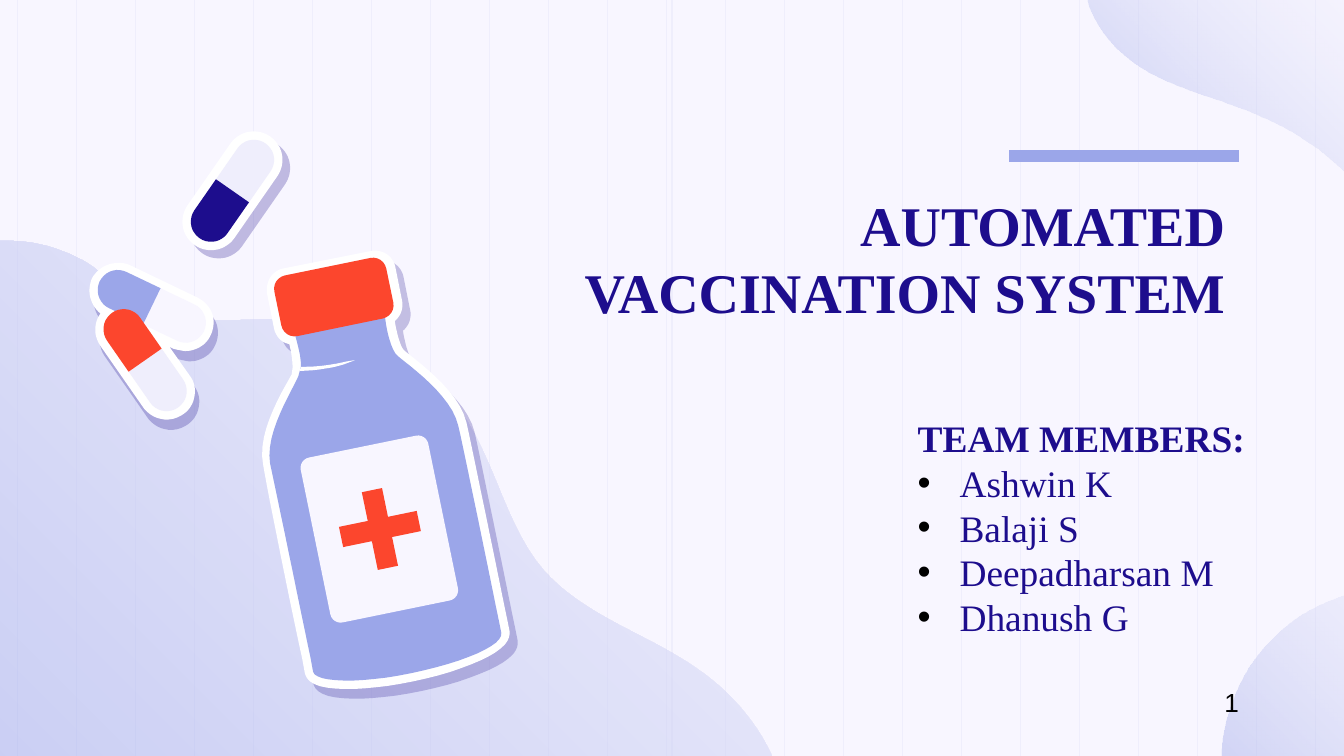
import math

from pptx import Presentation
from pptx.dml.color import RGBColor
from pptx.enum.shapes import MSO_CONNECTOR, MSO_SHAPE
from pptx.enum.text import MSO_ANCHOR, MSO_AUTO_SIZE, PP_ALIGN
from pptx.oxml.ns import qn
from pptx.util import Cm, Pt
from lxml import etree

STRAIGHT = MSO_CONNECTOR.STRAIGHT
ROUNDED, CROSS, OVAL = MSO_SHAPE.ROUNDED_RECTANGLE, MSO_SHAPE.CROSS, MSO_SHAPE.OVAL
LEFT, RIGHT = PP_ALIGN.LEFT, PP_ALIGN.RIGHT
TOP = MSO_ANCHOR.TOP
NO_AUTOFIT = MSO_AUTO_SIZE.NONE

# Content
TITLE = "AUTOMATED VACCINATION SYSTEM"
TEAM_HEADING = "TEAM MEMBERS:"
TEAM = ["Ashwin K", "Balaji S", "Deepadharsan M", "Dhanush G"]
PAGE_NUMBER = "1"
SERIF, SANS = "Times New Roman", "Arial"

NAVY, PERIWINKLE, MIST = "1D0D8D", "9BA6E9", "EFEEFC"
PAPER, WHITE, RED, BLACK = "F8F6FF", "FFFFFF", "FC462D", "000000"

# Outlines, in units of 2.54 cm
UNIT = 2.54
LEFT_WAVE = """M -0.1 1.8 C 0.2 1.77 0.41 1.83 0.62 1.94 C 0.76 2.02 0.87 2.15 1 2.24
 C 1.36 2.47 1.83 2.35 2.25 2.38 C 2.75 2.43 3.21 2.72 3.48 3.14
 C 3.7 3.5 3.78 3.94 4.05 4.25 C 4.24 4.46 4.49 4.59 4.74 4.72
 C 4.98 4.84 5.27 5 5.46 5.21 C 5.65 5.41 5.8 5.66 5.84 5.97
 L 0.19 5.97 C 0.03 5.97 -0.1 5.84 -0.1 5.68"""
RIGHT_WAVE = """M 8.07 -0.1 C 8.1 0.19 8.35 0.45 8.61 0.57 C 8.87 0.7 9.16 0.76 9.43 0.89
 C 9.83 1.07 10.15 1.37 10.35 1.76 L 10.35 0.24 C 10.35 0.05 10.2 -0.1 10.01 -0.1"""
BOTTLE_EDGE = """M 2.12 2.06 C 2.07 2.07 2.04 2.12 2.05 2.18 L 2.1 2.43
 C 2.11 2.48 2.15 2.51 2.2 2.5 C 2.22 2.56 2.24 2.66 2.24 2.74 L 2.23 2.81
 C 2.18 2.9 1.97 3.23 2.02 3.45 C 2.05 3.64 2.24 4.57 2.31 4.89 L 2.33 5
 C 2.35 5.08 2.68 5.09 3.06 5.01 C 3.45 4.93 3.74 4.79 3.73 4.71
 C 3.73 4.71 3.46 3.38 3.41 3.16 C 3.36 2.94 3.04 2.72 2.96 2.65
 C 2.91 2.6 2.88 2.44 2.87 2.36 C 2.91 2.34 2.94 2.3 2.93 2.25
 L 2.88 2 C 2.87 1.95 2.82 1.92 2.77 1.93"""
BOTTLE = """M 2.18 2.45 C 2.18 2.45 2.24 2.61 2.24 2.73 L 2.22 2.8
 C 2.18 2.9 1.97 3.22 2.01 3.45 C 2.05 3.63 2.24 4.56 2.31 4.89 L 2.33 5
 C 2.35 5.08 2.68 5.09 3.06 5.01 C 3.45 4.93 3.75 4.8 3.73 4.71
 C 3.73 4.71 3.46 3.38 3.41 3.17 C 3.36 2.94 3.04 2.72 2.96 2.65
 C 2.88 2.58 2.86 2.31 2.86 2.31"""
NECK_CREASE = """M 2.24 2.73 L 2.23 2.76 C 2.31 2.76 2.38 2.75 2.44 2.74
 C 2.56 2.72 2.64 2.68 2.64 2.68 L 2.58 2.69 C 2.41 2.73 2.3 2.73 2.24 2.73"""
PILL_PAIR_EDGE = """M 0.88 2.02 C 0.9 2.02 0.92 2.02 0.94 2.03 L 1.44 2.27
 C 1.52 2.31 1.55 2.39 1.51 2.47 C 1.49 2.52 1.43 2.55 1.38 2.55
 C 1.36 2.55 1.34 2.54 1.32 2.54 L 1.07 2.42 L 1.36 2.83
 C 1.41 2.89 1.39 2.99 1.33 3.03 C 1.3 3.05 1.27 3.06 1.24 3.06
 C 1.2 3.06 1.15 3.04 1.12 3 L 0.8 2.54 C 0.75 2.47 0.77 2.38 0.83 2.34
 L 0.86 2.32 L 0.81 2.3 C 0.74 2.26 0.71 2.18 0.74 2.1 C 0.77 2.05 0.82 2.02 0.88 2.02"""

# Pills: centre, angle in degrees, colour ahead, colour behind
LONE_PILL = (1.73, 1.42, -55.2, MIST, NAVY)
PILL_PAIR = [(1.13, 2.28, 25.6, PAPER, PERIWINKLE), (1.08, 2.68, 55.2, MIST, RED)]
PILL_RADIUS, PILL_SIDE = 0.15, 0.28
BOTTLE_TILT = -11.6


def rgb(color):
    return RGBColor.from_string(color)


def outline_points(outline, steps=12):
    """Turn move, line and curve commands into points."""
    tokens, points, i = outline.split(), [], 0
    while i < len(tokens):
        count = 6 if tokens[i] == "C" else 2
        n = [float(t) for t in tokens[i + 1:i + 1 + count]]
        i += count + 1
        if count == 2:
            points.append(tuple(n))
            continue
        x0, y0 = points[-1]
        for t in (k / steps for k in range(1, steps + 1)):
            a, b, c, d = (1 - t) ** 3, 3 * t * (1 - t) ** 2, 3 * t * t * (1 - t), t ** 3
            points.append((a * x0 + b * n[0] + c * n[2] + d * n[4],
                           a * y0 + b * n[1] + c * n[3] + d * n[5]))
    return points


def half_pill(x, y, angle):
    """Flat end at the centre, round end along the angle."""
    arc = [math.radians(a) for a in range(-90, 91, 10)]
    local = [(0, -PILL_RADIUS)]
    local += [(PILL_SIDE + PILL_RADIUS * math.cos(a), PILL_RADIUS * math.sin(a)) for a in arc]
    local.append((0, PILL_RADIUS))
    cos, sin = math.cos(math.radians(angle)), math.sin(math.radians(angle))
    return [(x + u * cos - v * sin, y + u * sin + v * cos) for u, v in local]


def paint(shape, color):
    shape.shadow.inherit = False
    shape.fill.solid()
    shape.fill.fore_color.rgb = rgb(color)
    shape.line.fill.background()
    return shape


def draw(points, color):
    pen = shapes.build_freeform(points[0][0] * 1000, points[0][1] * 1000, Cm(UNIT) / 1000)
    pen.add_line_segments([(x * 1000, y * 1000) for x, y in points[1:]], close=True)
    return paint(pen.convert_to_shape(), color)


def preset(kind, left, top, width, height, color, rotation=0, corner=None):
    shape = shapes.add_shape(kind, Cm(left), Cm(top), Cm(width), Cm(height))
    shape.rotation = rotation
    if corner is not None:
        shape.adjustments[0] = corner
    return paint(shape, color)


def set_alpha(color_element, percent):
    etree.SubElement(color_element, qn("a:alpha"), val=str(percent * 1000))


def shade(shape, opacities):
    shape.fill.gradient()
    shape.fill.gradient_angle = 225
    for stop, color, position in zip(shape.fill.gradient_stops, (MIST, PERIWINKLE), (0, 1)):
        stop.color.rgb = rgb(color)
        stop.position = position
    for element, opacity in zip(shape._element.spPr.iter(qn("a:srgbClr")), opacities):
        set_alpha(element, opacity)


def sticker_edge(shape, opacity, distance, direction):
    """Thick white border with a hard offset shadow."""
    shape.line.color.rgb = rgb(WHITE)
    shape.line.width = Pt(9)
    effects = shape._element.spPr.find(qn("a:effectLst"))
    shadow = etree.SubElement(effects, qn("a:outerShdw"), blurRad="0", dist=str(Pt(distance)),
                              dir=str(direction * 60000), algn="bl", rotWithShape="0")
    set_alpha(etree.SubElement(shadow, qn("a:srgbClr"), val=NAVY), opacity)


def rule(x1, y1, x2, y2, color, width):
    line = shapes.add_connector(STRAIGHT, Cm(x1), Cm(y1), Cm(x2), Cm(y2))
    line.line.color.rgb = rgb(color)
    line.line.width = Pt(width)
    etree.SubElement(line._element.spPr, qn("a:effectLst"))


def pill_halves(x, y, angle, ahead, behind):
    draw(half_pill(x, y, angle), ahead)
    draw(half_pill(x, y, angle + 180), behind)


def place(box, left, top, width, height):
    box.left, box.top, box.width, box.height = Cm(left), Cm(top), Cm(width), Cm(height)
    shapes._spTree.append(box._element)  # bring to front
    frame = box.text_frame
    frame.word_wrap, frame.auto_size, frame.vertical_anchor = True, NO_AUTOFIT, TOP
    return frame


def style(paragraph, size, font, color, bold=False, align=LEFT):
    paragraph.alignment = align
    paragraph.space_before = Pt(0)
    paragraph.font.size, paragraph.font.name = Pt(size), font
    paragraph.font.bold, paragraph.font.color.rgb = bold, rgb(color)


def add_bullet(paragraph):
    properties = paragraph._p.get_or_add_pPr()
    properties.set("marL", str(Cm(0.79)))
    properties.set("indent", str(-Cm(0.79)))
    bullet_color = etree.SubElement(properties, qn("a:buClr"))
    etree.SubElement(bullet_color, qn("a:srgbClr"), val=BLACK)
    etree.SubElement(properties, qn("a:buFont"), typeface=SANS)
    etree.SubElement(properties, qn("a:buChar"), char="•")
    # Bullets come before the default run properties
    properties.append(properties.find(qn("a:defRPr")))


prs = Presentation()
prs.slide_width, prs.slide_height = Cm(25.4), Cm(14.29)
slide = prs.slides.add_slide(prs.slide_layouts[0])
shapes = slide.shapes
title, team = slide.placeholders
slide.background.fill.solid()
slide.background.fill.fore_color.rgb = rgb(PAPER)

# Background stripes, with one more at the centre
for stripe_x in [0.33 + 1.11 * i + 0.005 * i for i in range(23)] + [12.7]:
    rule(stripe_x, -0.71, stripe_x, 15.01, MIST, 0.75)

# Soft waves
shade(draw(outline_points(LEFT_WAVE), MIST), (50, 50))
shade(draw(outline_points(RIGHT_WAVE), MIST), (13, 69))

# Title and accent rule
title_frame = place(title, 9.14, 3.35, 14.27, 3.68)
title_frame.margin_top = title_frame.margin_bottom = Cm(0.25)
title_frame.text = TITLE
style(title_frame.paragraphs[0], 30, SERIF, NAVY, True, RIGHT)
rule(19.07, 2.95, 23.42, 2.95, PERIWINKLE, 6)
shade(preset(OVAL, 23.09, 11.1, 6.6, 6.6, MIST), (13, 69))

# Medicine bottle
sticker_edge(draw(outline_points(BOTTLE_EDGE), WHITE), 23, 6.8, 50)
draw(outline_points(BOTTLE), PERIWINKLE)
preset(ROUNDED, 5.94, 8.41, 2.46, 3.18, PAPER, BOTTLE_TILT, 0.08)
preset(CROSS, 6.43, 9.25, 1.5, 1.5, RED, BOTTLE_TILT, 0.37)
draw(outline_points(NECK_CREASE), WHITE)
preset(ROUNDED, 5.23, 5.03, 2.16, 1.17, RED, BOTTLE_TILT, 0.22)

# Pills
pill_x, pill_y, pill_angle = LONE_PILL[:3]
whole_pill = half_pill(pill_x, pill_y, pill_angle) + half_pill(pill_x, pill_y, pill_angle + 180)
sticker_edge(draw(whole_pill, WHITE), 25, 6, 47)
pill_halves(*LONE_PILL)
sticker_edge(draw(outline_points(PILL_PAIR_EDGE), WHITE), 25, 6, 67)
for pill in PILL_PAIR:
    pill_halves(*pill)

# Team list
team_frame = place(team, 17.09, 7.72, 10.49, 5.13)
team_frame.text = "\n".join([TEAM_HEADING] + TEAM)
for i, member in enumerate(team_frame.paragraphs):
    style(member, 20, SERIF, NAVY, bold=i == 0)
    if i > 0:
        add_bullet(member)

# Page number
page = place(shapes.add_textbox(0, 0, 0, 0), 22.89, 12.85, 1.57, 0.86)
page.text = PAGE_NUMBER
style(page.paragraphs[0], 14, SANS, BLACK)

prs.save("out.pptx")
